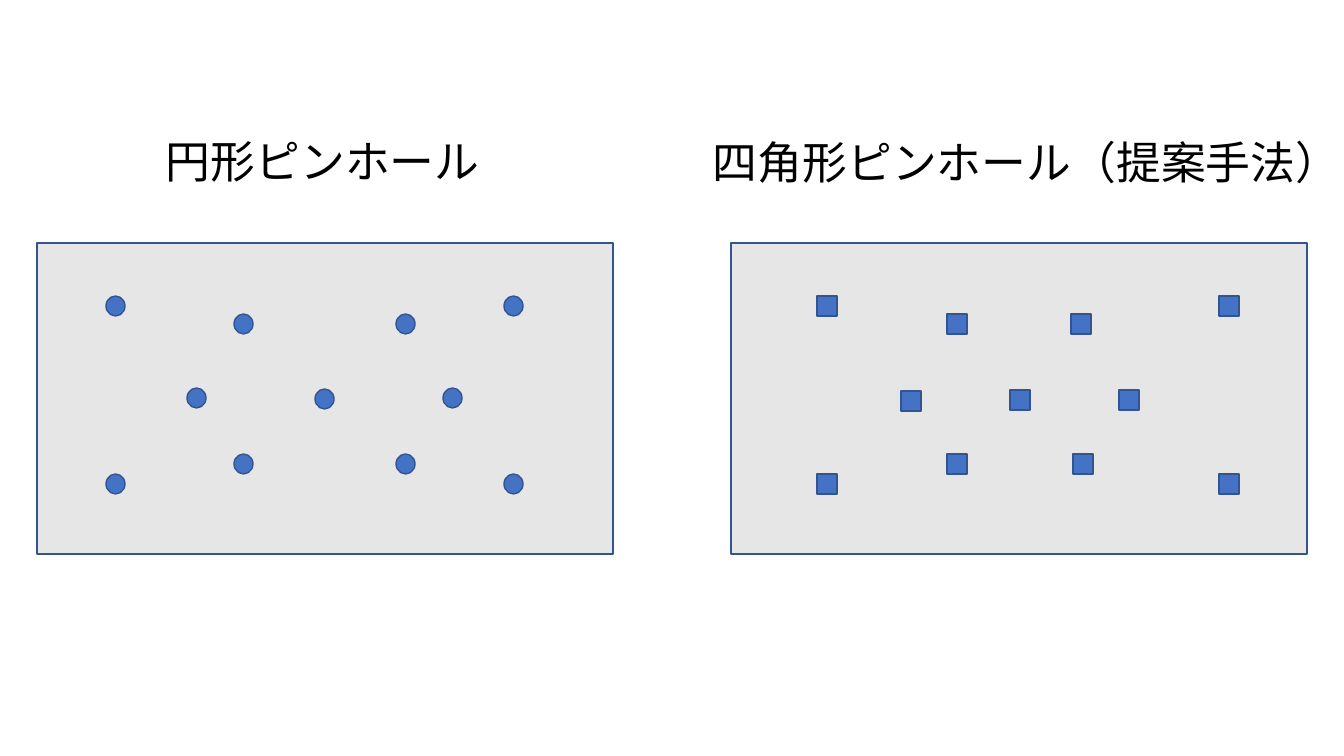
from typing import NamedTuple

import pptx
import pptx.dml.color
import pptx.enum.shapes
import pptx.enum.text
import pptx.oxml.ns
import pptx.util
from lxml import etree

EMU_PER_PX = 914400 / 100.8
SHAPE = pptx.enum.shapes.MSO_SHAPE
FONT = "Noto Sans CJK JP"
PANEL_TOP, PANEL_W, PANEL_H = 243, 576, 311
TITLE_H = 65
PLATE_FILL, HOLE_FILL, LINE = "E7E6E6", "4472C4", "325491"


class Title(NamedTuple):
    text: str
    left: int
    top: int
    width: int


class Plate(NamedTuple):
    title: Title
    left: int
    hole: SHAPE
    hole_w: int
    hole_h: int
    holes: list[tuple[int, int]]


PLATES = [
    Plate(
        Title("円形ピンホール", 156, 129, 337), 37, SHAPE.OVAL, 19, 20,
        [(106, 296), (504, 296), (234, 314), (396, 314),
         (187, 388), (315, 389), (443, 388),
         (234, 454), (396, 454), (106, 474), (504, 474)],
    ),
    Plate(
        Title("四角形ピンホール（提案手法）", 703, 130, 653), 731, SHAPE.RECTANGLE, 20, 20,
        [(817, 296), (1219, 296), (947, 314), (1071, 314),
         (901, 391), (1010, 390), (1119, 390),
         (947, 454), (1073, 454), (817, 474), (1219, 474)],
    ),
]


def px(n: int) -> int:
    return round(n * EMU_PER_PX)


def color(value: str) -> pptx.dml.color.RGBColor:
    return pptx.dml.color.RGBColor.from_string(value)


def add_shape(s, kind: SHAPE, left: int, top: int, width: int, height: int, fill: str) -> None:
    sp = s.shapes.add_shape(kind, px(left), px(top), px(width), px(height))
    sp.shadow.inherit = False
    sp.fill.solid()
    sp.fill.fore_color.rgb = color(fill)
    sp.line.color.rgb = color(LINE)
    sp.line.width = pptx.util.Pt(1)


def add_title(s, title: Title) -> None:
    sp = s.shapes.add_textbox(px(title.left), px(title.top), px(title.width), px(TITLE_H))
    tf = sp.text_frame
    tf.text = title.text
    tf.word_wrap = False
    tf.auto_size = pptx.enum.text.MSO_AUTO_SIZE.SHAPE_TO_FIT_TEXT
    r = tf.paragraphs[0].runs[0]
    r.font.size = pptx.util.Pt(32)
    r.font.name = FONT
    r.font.color.rgb = color("000000")
    ea = etree.SubElement(r.font._element, pptx.oxml.ns.qn("a:ea"))
    ea.set("typeface", FONT)


def add_plate(s, plate: Plate) -> None:
    add_shape(s, SHAPE.RECTANGLE, plate.left, PANEL_TOP, PANEL_W, PANEL_H, PLATE_FILL)
    for left, top in plate.holes:
        add_shape(s, plate.hole, left, top, plate.hole_w, plate.hole_h, HOLE_FILL)
    add_title(s, plate.title)


prs = pptx.Presentation()
prs.slide_width, prs.slide_height = px(1344), px(756)
s = prs.slides.add_slide(prs.slide_layouts[6])
for plate in PLATES:
    add_plate(s, plate)
prs.save("out.pptx")
